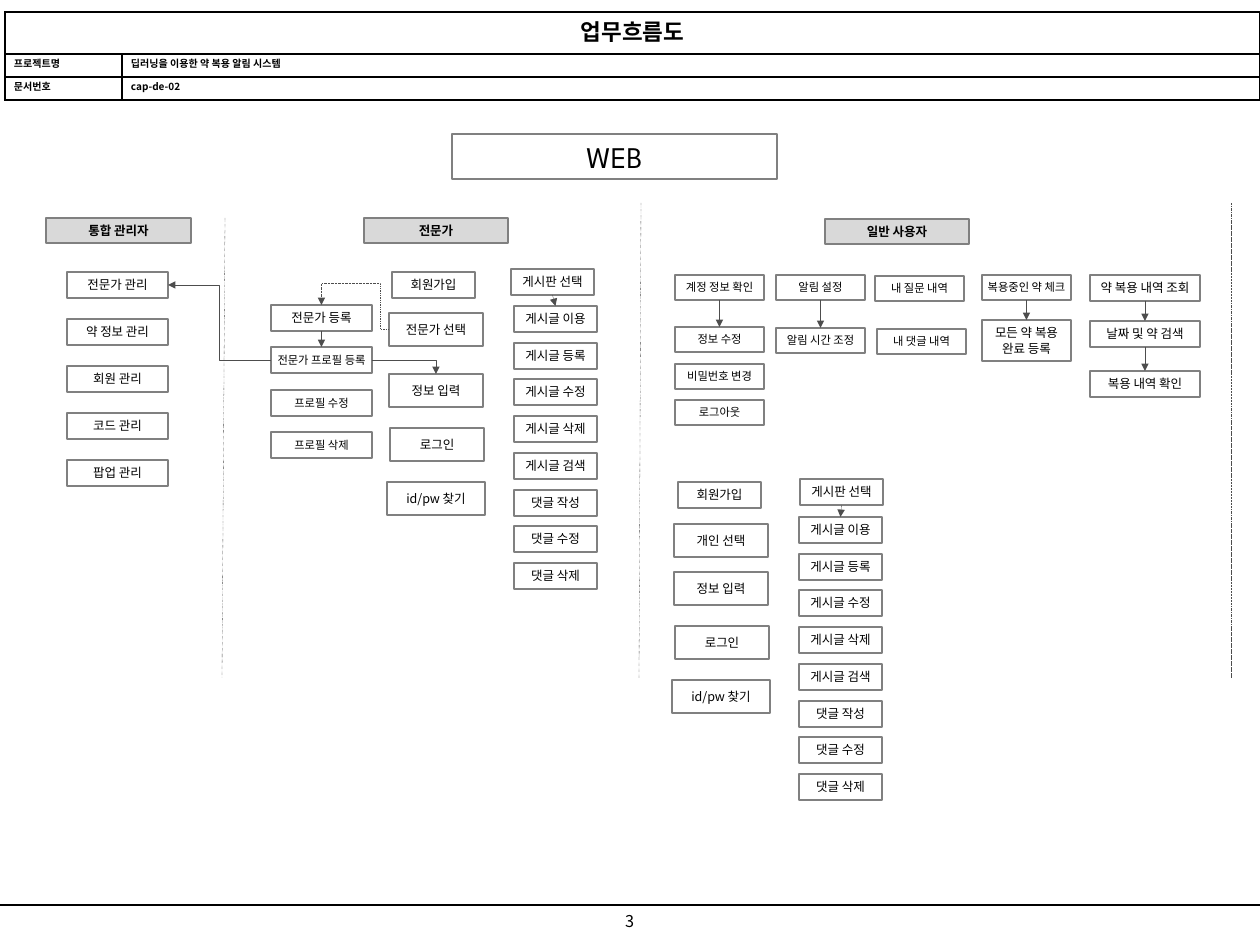
from dataclasses import dataclass

from lxml import etree
from pptx import Presentation
from pptx import util as u
from pptx.dml.color import RGBColor
from pptx.enum import dml, shapes, text
from pptx.oxml.ns import qn

PX = 10160  # EMU per px, 90 px to the inch
TOP, LEFT, BOTTOM, RIGHT = 0, 1, 2, 3  # connection sites of a rectangle


@dataclass(frozen=True)
class Theme:
    font: str = "Noto Sans CJK KR"
    display_font: str = "League Spartan"
    ink: str = "000000"
    paper: str = "FFFFFF"
    header: str = "D9D9D9"
    border: str = "808080"
    arrow: str = "4D4D4D"
    web: int = 24
    title: int = 18
    number: int = 13
    body: int = 10
    small: int = 9
    label: int = 8


THEME = Theme()


def px(value):
    return u.Emu(value * PX)


def color(value):
    return RGBColor.from_string(value)


def write(frame, words, size=THEME.body, bold=False, font=THEME.font,
          align=text.PP_ALIGN.CENTER):
    """Put one paragraph per line of words into a text frame."""
    for index, line in enumerate(words.split("\n")):
        para = frame.add_paragraph() if index else frame.paragraphs[0]
        para.alignment = align
        span = para.add_run()
        span.text = line
        span.font.size = u.Pt(size)
        span.font.bold = bold
        span.font.name = font
        span.font.color.rgb = color(THEME.ink)
        etree.SubElement(span.font._element, qn("a:ea"), typeface=font)


class FlowPage:
    def __init__(self, deck, theme):
        self.theme = theme
        self.page = deck.slides.add_slide(deck.slide_layouts[5])
        self.items = self.page.shapes

    def paint(self, box, fill):
        box.fill.solid()
        box.fill.fore_color.rgb = color(fill)
        box.line.color.rgb = color(self.theme.border)
        box.line.width = u.Pt(1)
        frame = box.text_frame
        frame.word_wrap = False
        frame.auto_size = text.MSO_AUTO_SIZE.NONE
        frame.vertical_anchor = text.MSO_ANCHOR.MIDDLE

    def title(self, words, left, top, width, height):
        box = self.items.title
        box.left, box.top, box.width, box.height = map(px, (left, top, width, height))
        self.paint(box, self.theme.paper)
        write(box.text_frame, words, size=self.theme.web, font=self.theme.display_font)

    def box(self, words, left, top, width, height, fill=THEME.paper, **style):
        box = self.items.add_shape(shapes.MSO_SHAPE.RECTANGLE,
                                   *map(px, (left, top, width, height)))
        box.shadow.inherit = False
        self.paint(box, fill)
        write(box.text_frame, words, **style)
        return box

    def column(self, labels, left, first, last, width, height, **style):
        """Stack boxes evenly, with tops running from first to last."""
        step = (last - first) / (len(labels) - 1)
        return [self.box(label, left, round(first + i * step), width, height, **style)
                for i, label in enumerate(labels)]

    def line(self, start, end, ink=THEME.arrow, width=0.25, dash=None,
             kind=shapes.MSO_CONNECTOR.STRAIGHT):
        line = self.items.add_connector(kind, *map(px, (*start, *end)))
        line.line.color.rgb = color(ink)
        line.line.width = u.Pt(width)
        if dash:
            line.line.dash_style = dash
        etree.SubElement(line._element.spPr, qn("a:effectLst"))
        return line

    def arrow(self, source, target, sites=(BOTTOM, TOP), bend=None, adjust=(), dash=None):
        """Join two boxes; bend is the number of an elbow preset."""
        kind = shapes.MSO_CONNECTOR.ELBOW if bend else shapes.MSO_CONNECTOR.STRAIGHT
        arrow = self.line((0, 0), (0, 0), dash=dash, kind=kind)
        arrow.begin_connect(source, sites[0])
        arrow.end_connect(target, sites[1])
        properties = arrow._element.spPr
        etree.SubElement(properties.find(qn("a:ln")), qn("a:tailEnd"), type="triangle")
        if bend:
            geometry = properties.find(qn("a:prstGeom"))
            geometry.set("prst", f"bentConnector{bend}")
            guides = geometry.find(qn("a:avLst"))
            for i, value in enumerate(adjust, 1):
                etree.SubElement(guides, qn("a:gd"), name=f"adj{i}", fmla=f"val {value}")

    def board(self, left, top, list_left, list_top):
        """Bulletin board menu with its list of actions."""
        choice = self.box("게시판 선택", left, top, 83, 26)
        actions = ["게시글 이용", "게시글 등록", "게시글 수정", "게시글 삭제",
                   "게시글 검색", "댓글 작성", "댓글 수정", "댓글 삭제"]
        entries = self.column(actions, list_left, list_top, list_top + 257, 83, 26)
        self.arrow(choice, entries[0])

    def document_table(self, rows, left, top, widths, heights):
        table = self.items.add_table(len(rows), len(widths), *map(
            px, (left, top, sum(widths), sum(heights)))).table
        for column, width in zip(table.columns, widths):
            column.width = px(width)
        for row, height in zip(table.rows, heights):
            row.height = px(height)
        table.cell(0, 0).merge(table.cell(0, 1))
        for r, row in enumerate(rows):
            for c, words in enumerate(row):
                self.cell(table.cell(r, c), words, is_title=r == 0)

    def cell(self, cell, words, is_title):
        cell.margin_left = cell.margin_right = px(9)
        cell.margin_top = cell.margin_bottom = px(2)
        properties = cell._tc.get_or_add_tcPr()
        for side in ("lnL", "lnR", "lnT", "lnB"):
            edge = etree.SubElement(properties, qn(f"a:{side}"), w="12700")
            fill = etree.SubElement(edge, qn("a:solidFill"))
            etree.SubElement(fill, qn("a:srgbClr"), val=self.theme.ink)
        cell.fill.solid()
        cell.fill.fore_color.rgb = color(self.theme.paper)
        if words:
            write(cell.text_frame, words, bold=True,
                  size=self.theme.title if is_title else self.theme.label,
                  align=text.PP_ALIGN.CENTER if is_title else text.PP_ALIGN.LEFT)

    def footer(self, number):
        self.line((0, 905), (1260, 905), ink=self.theme.ink, width=1)
        box = self.items.add_textbox(*map(px, (605, 905, 49, 32)))
        box.text_frame.word_wrap = False
        box.text_frame.margin_top = px(6)
        write(box.text_frame, number, size=self.theme.number)


def main():
    deck = Presentation()
    deck.slide_width, deck.slide_height = px(1260), px(945)
    flow = FlowPage(deck, THEME)
    small = THEME.small

    # Document header, title and footer
    flow.document_table([("업무흐름도", ""),
                         ("프로젝트명", "딥러닝을 이용한 약 복용 알림 시스템"),
                         ("문서번호", "cap-de-02")], 5, 12, (117, 1138), (42, 23, 23))
    flow.title("WEB", 452, 134, 325, 45)
    flow.footer("3")

    # Role headings and dividers
    for role, left, top, width in (("통합 관리자", 46, 218, 145), ("전문가", 364, 218, 144),
                                   ("일반 사용자", 825, 219, 144)):
        flow.box(role, left, top, width, 25, fill=THEME.header, bold=True)
    for start, end in (((225, 218), (222, 678)), ((639, 678), (641, 203)),
                       ((1231, 678), (1231, 203))):
        flow.line(start, end, dash=dml.MSO_LINE.DASH_DOT_DOT)

    # Administrator
    experts, *_ = flow.column(["전문가 관리", "약 정보 관리", "회원 관리", "코드 관리",
                               "팝업 관리"], 67, 272, 460, 101, 26)

    # Expert: registration and profile
    register = flow.box("전문가 등록", 271, 305, 101, 26)
    profile = flow.box("전문가 프로필 등록", 271, 347, 101, 26, size=small)
    flow.column(["프로필 수정", "프로필 삭제"], 271, 390, 432, 101, 26, size=small)

    # Expert: sign-up, login and board
    flow.box("회원가입", 392, 272, 83, 26)
    choice = flow.box("전문가 선택", 389, 313, 94, 33)
    details = flow.box("정보 입력", 389, 374, 94, 33)
    flow.box("로그인", 390, 428, 94, 33)
    flow.box("id/pw 찾기", 387, 482, 98, 33)
    flow.board(511, 269, 514, 306)

    flow.arrow(register, profile)
    flow.arrow(profile, experts, (LEFT, RIGHT), bend=3, adjust=(50000,))
    flow.arrow(choice, register, (LEFT, TOP), bend=4, adjust=(12500, 189700),
               dash=dml.MSO_LINE.DASH_DOT)
    flow.arrow(profile, details, (RIGHT, TOP), bend=2)

    # General user: account, alarms and own posts
    account = flow.box("계정 정보 확인", 675, 275, 89, 25, size=small)
    edit, *_ = flow.column(["정보 수정", "비밀번호 변경", "로그아웃"],
                           675, 327, 400, 89, 25, size=small)
    alarm, alarm_time = flow.column(["알림 설정", "알림 시간 조정"],
                                    776, 275, 328, 89, 25, size=small)
    flow.box("내 질문 내역", 875, 276, 89, 25, size=small)
    flow.box("내 댓글 내역", 877, 329, 89, 25, size=small)

    # General user: medication checks and history
    check = flow.box("복용중인 약 체크", 982, 275, 89, 25, size=small)
    done = flow.box("모든 약 복용\n완료 등록", 982, 320, 89, 41)
    history = flow.box("약 복용 내역 조회", 1090, 275, 110, 26)
    search = flow.box("날짜 및 약 검색", 1090, 321, 110, 26)
    result = flow.box("복용 내역 확인", 1090, 371, 110, 26)
    for source, target in ((account, edit), (alarm, alarm_time), (check, done),
                           (history, search), (search, result)):
        flow.arrow(source, target)

    # General user: sign-up, login and board
    flow.box("회원가입", 678, 482, 83, 26)
    flow.column(["개인 선택", "정보 입력"], 674, 524, 572, 94, 33)
    flow.box("로그인", 675, 626, 94, 33)
    flow.box("id/pw 찾기", 672, 680, 98, 33)
    flow.board(800, 479, 799, 517)

    deck.save("out.pptx")


if __name__ == "__main__":
    main()
